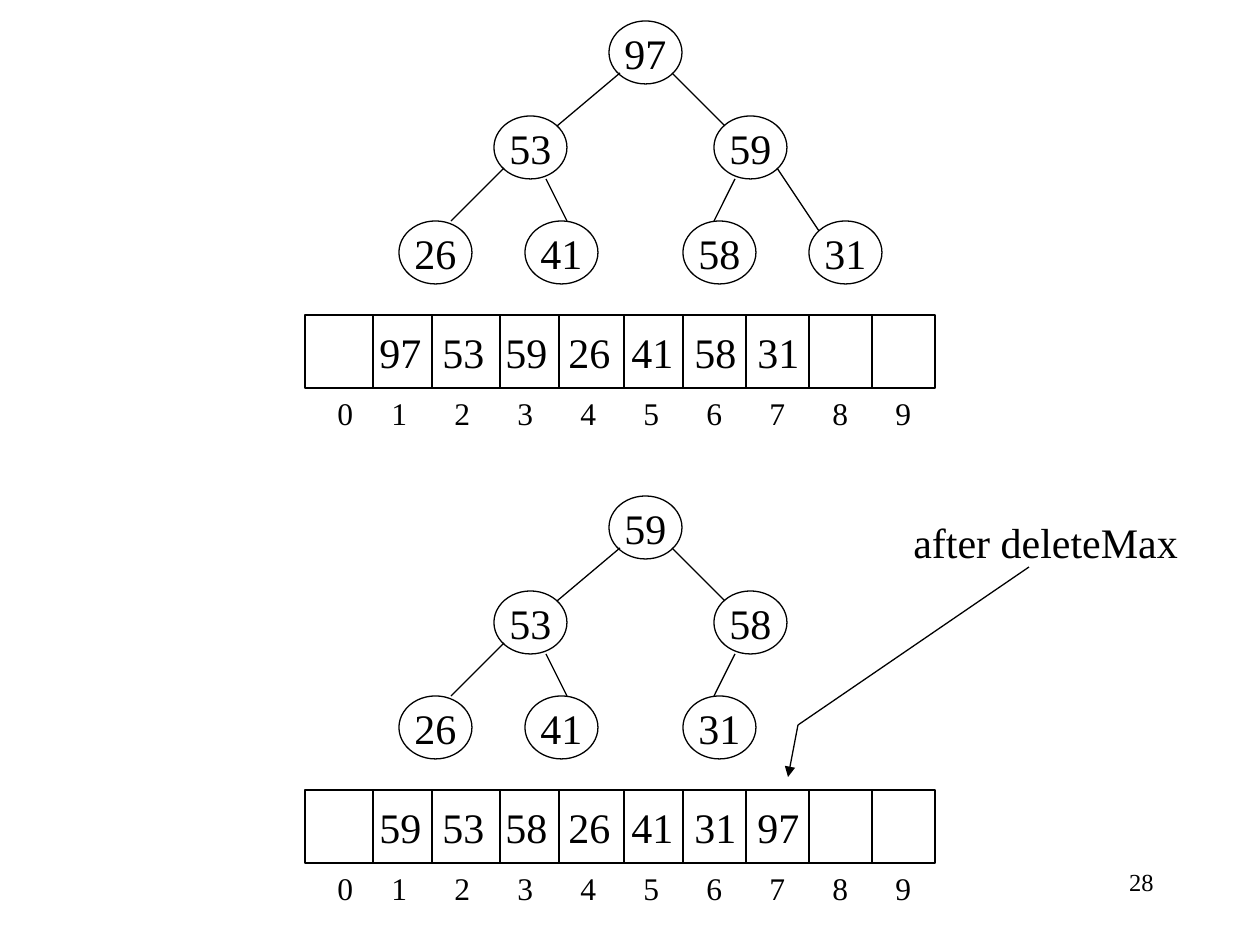
from lxml import etree
from pptx import Presentation
from pptx import util as u
from pptx.dml.color import RGBColor
from pptx.enum import shapes, text
from pptx.oxml import ns

BLACK = RGBColor(0, 0, 0)
PIXELS_PER_INCH = 126

NODE_SIZE = (73, 63)
NODE_PLACES = [(609, 21), (494, 116), (714, 116),
               (399, 221), (525, 221), (683, 221), (809, 221)]
# The edge at position i leads to node i + 1.
EDGES = [((620, 73), (557, 126)), ((672, 73), (725, 126)),
         ((504, 168), (451, 221)), ((546, 179), (567, 221)),
         ((735, 179), (714, 221)), ((777, 168), (819, 231))]
DIVIDERS = [373, 432, 500, 559, 624, 683, 746, 809, 872]
CELL_PITCH = 63
HEAP_OFFSET = 475


def px(length):
    """Turn picture pixels into EMU."""
    return u.Emu(round(length * u.Inches(1) / PIXELS_PER_INCH))


def write(shape, words, size=24, align=text.PP_ALIGN.LEFT,
          anchor=text.MSO_ANCHOR.TOP, wrap=True, tabs=()):
    """Put formatted text into a shape, with optional centred tab stops."""
    frame = shape.text_frame
    frame.word_wrap = wrap
    frame.vertical_anchor = anchor
    paragraph = frame.paragraphs[0]
    paragraph.alignment = align
    run = paragraph.add_run()
    run.text = words
    run.font.name = "Times New Roman"
    run.font.size = u.Pt(size)
    run.font.color.rgb = BLACK
    if tabs:
        properties = paragraph._p.get_or_add_pPr()
        tab_list = etree.SubElement(properties, ns.qn("a:tabLst"))
        for position in tabs:
            etree.SubElement(tab_list, ns.qn("a:tab"),
                             pos=str(px(position)), algn="ctr")


class Diagram:
    """Holds the current slide and the line style of its elements."""

    def __init__(self, slide, color=BLACK, weight=0.75):
        """Keep the slide and the style."""
        self.slide = slide
        self.color = color
        self.weight = u.Pt(weight)

    def outline(self, shape):
        """Apply the shared line style."""
        shape.line.color.rgb = self.color
        shape.line.width = self.weight

    def box(self, kind, left, top, width, height, words, **style):
        """Add an unfilled outlined shape with text."""
        shape = self.slide.shapes.add_shape(
            kind, px(left), px(top), px(width), px(height))
        shape.shadow.inherit = False
        shape.fill.background()
        self.outline(shape)
        write(shape, words, anchor=text.MSO_ANCHOR.MIDDLE, **style)

    def label(self, left, top, width, height, words, **style):
        """Add a text box."""
        shape = self.slide.shapes.add_textbox(
            px(left), px(top), px(width), px(height))
        write(shape, words, **style)

    def line(self, start, end, arrow=False):
        """Add a straight line, with an arrowhead at its end if asked."""
        connector = self.slide.shapes.add_connector(
            shapes.MSO_CONNECTOR.STRAIGHT, *map(px, start + end))
        self.outline(connector)
        if arrow:
            etree.SubElement(connector.line._get_or_add_ln(),
                             ns.qn("a:tailEnd"), type="triangle")
        etree.SubElement(connector._element.spPr, ns.qn("a:effectLst"))

    def tree(self, values, offset):
        """Draw the heap as a binary tree."""
        for value, (left, top) in zip(values, NODE_PLACES):
            self.box(shapes.MSO_SHAPE.OVAL, left, top + offset, *NODE_SIZE,
                     str(value), align=text.PP_ALIGN.CENTER, wrap=False)
        for (x1, y1), (x2, y2) in EDGES[:len(values) - 1]:
            self.line((x1, y1 + offset), (x2, y2 + offset))

    def array(self, values, offset):
        """Draw the heap as an array with its indices below."""
        top, bottom = 315 + offset, 388 + offset
        words = "".join(f"\t{value}" for value in values)
        self.box(shapes.MSO_SHAPE.RECTANGLE, 305, top, 630, bottom - top, words,
                 tabs=[83 + CELL_PITCH * i for i in range(len(values))])
        for x in DIVIDERS:
            self.line((x, top), (x, bottom))
        self.label(325, bottom, 640, 50, "\t".join(map(str, range(10))), size=18,
                   tabs=[62 + CELL_PITCH * i for i in range(9)])


def main():
    """Build the slide and save it."""
    presentation = Presentation()
    presentation.slide_width = u.Inches(10)
    presentation.slide_height = u.Inches(7.5)
    blank_layout = presentation.slide_layouts[6]
    diagram = Diagram(presentation.slides.add_slide(blank_layout))

    diagram.label(945, 861, 221, 63, "28", size=14, align=text.PP_ALIGN.RIGHT)

    before = [97, 53, 59, 26, 41, 58, 31]
    diagram.tree(before, 0)
    diagram.array(before, 0)

    after = [59, 53, 58, 26, 41, 31]
    diagram.tree(after, HEAP_OFFSET)
    diagram.array(after + [97], HEAP_OFFSET)

    diagram.label(901, 510, 290, 63, "after deleteMax", wrap=False)
    bend = (798, 725)
    diagram.line(bend, (788, 777), arrow=True)
    diagram.line(bend, (1029, 567))

    presentation.save("out.pptx")


main()
